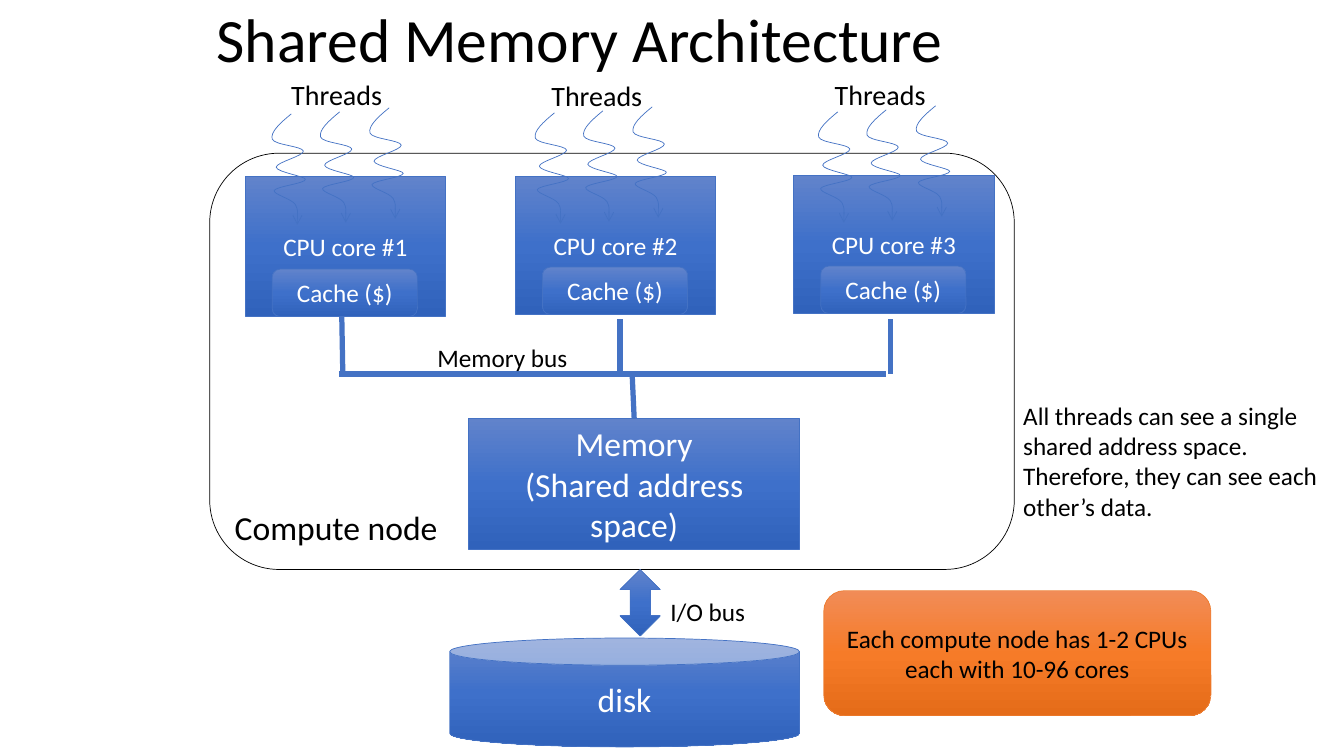
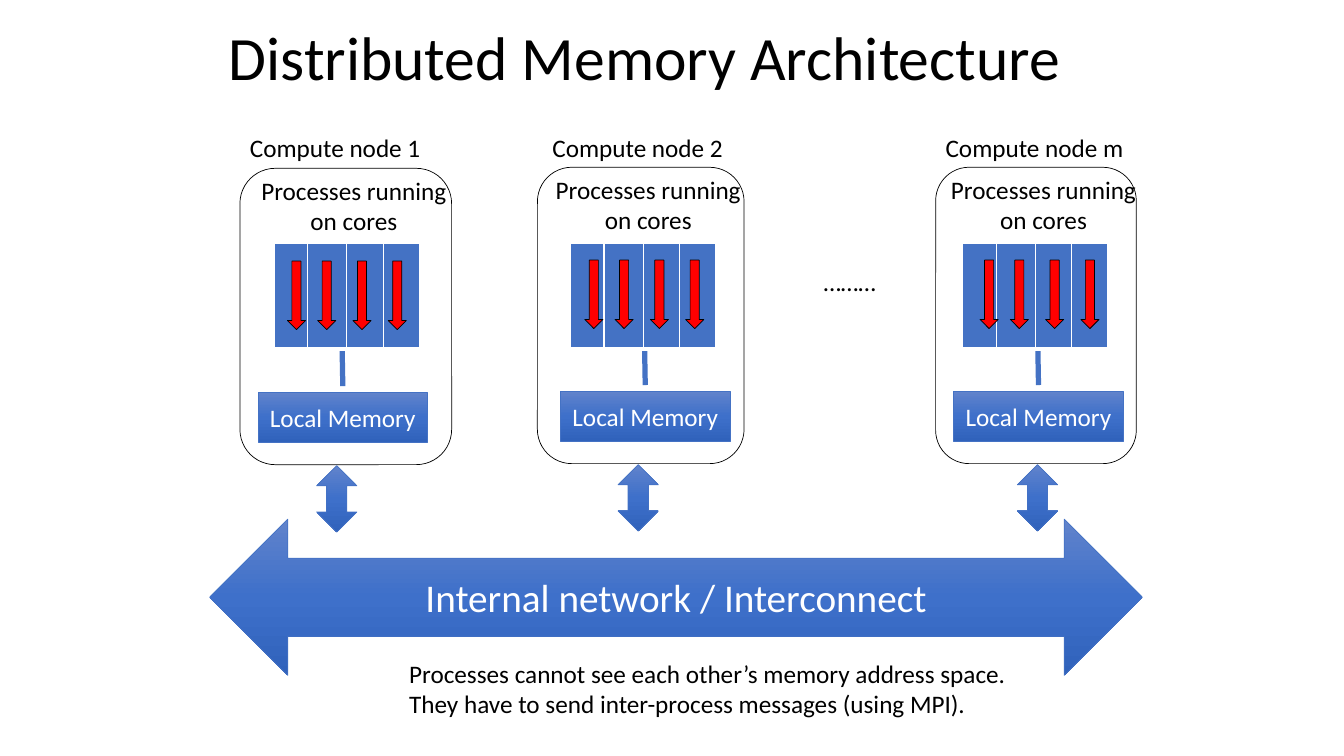
import copy
import dataclasses
import pptx
import pptx.util
import pptx.dml.color
import pptx.enum.shapes
import pptx.enum.text
import pptx.oxml.ns
from lxml import etree

SHAPE = pptx.enum.shapes.MSO_SHAPE
ALIGN = pptx.enum.text.PP_ALIGN
ANCHOR = pptx.enum.text.MSO_ANCHOR
FIT = pptx.enum.text.MSO_AUTO_SIZE
LINE = pptx.enum.shapes.MSO_CONNECTOR.STRAIGHT
inch = pptx.util.Inches
rgb = pptx.dml.color.RGBColor.from_string
qn = pptx.oxml.ns.qn


@dataclasses.dataclass(frozen=True)
class Theme:
    font: str = "Calibri"
    ink: str = "000000"
    paper: str = "FFFFFF"
    blue: str = "4472C4"
    orange: str = "ED7D31"
    red: str = "FF0000"
    blues: tuple = ("6183CB", "3E70CA", "3062BB")
    oranges: tuple = ("F18C57", "F67B28", "E56C19")
    title: int = 44
    banner: int = 28
    large: int = 24
    label: int = 20
    body: int = 18
    thin: float = 0.5
    thick: float = 3.75


@dataclasses.dataclass(frozen=True)
class Node:
    """One compute node; the last five fields are offsets from x."""
    name: str
    x: float
    y: float
    width: float
    frame: float
    task: float
    cores: float
    flow: float
    port: float


T = Theme()
WAVE_START = (0.19, 0)
WAVE = [
    ((0.08, 0.09), (-0.02, 0.18), (0, 0.25)),
    ((0.02, 0.31), (0.30, 0.32), (0.31, 0.37)),
    ((0.31, 0.42), (0.04, 0.48), (0.04, 0.53)),
    ((0.05, 0.58), (0.33, 0.62), (0.33, 0.65)),
    ((0.33, 0.69), (0.04, 0.72), (0.02, 0.76)),
    ((0.01, 0.80), (0.19, 0.84), (0.23, 0.90)),
    ((0.26, 0.96), (0.25, 1.10), (0.25, 1.10)),
]
NODES = [
    Node("Compute node 1", 2.56, 3.89, 2.1, -0.18, -0.08, 0.16, 0.29, 0.58),
    Node("Compute node 2", 5.56, 3.88, 2.05, -0.23, -0.16, 0.10, 0.24, 0.57),
    Node("Compute node m", 9.46, 3.88, 1.99, -0.18, -0.14, 0.09, 0.26, 0.63),
]


def write(frame, text, size, color, align):
    """Newlines start paragraphs; vertical bars break lines."""
    for i, part in enumerate(text.split("\n")):
        para = frame.paragraphs[0] if i == 0 else frame.add_paragraph()
        para.alignment = align
        for j, line in enumerate(part.split("|")):
            if j:
                para.add_line_break()
            run = para.add_run()
            run.text = line
            run.font.name = T.font
            run.font.size = pptx.util.Pt(size)
            run.font.color.rgb = rgb(color)


def label(shapes, box, text, size=T.body, align=ALIGN.LEFT):
    item = shapes.add_textbox(*map(inch, box))
    item.text_frame.word_wrap = False
    item.text_frame.auto_size = FIT.SHAPE_TO_FIT_TEXT
    write(item.text_frame, text, size, T.ink, align)
    return item


def heading(slide, x, middle, text):
    frame = label(slide.shapes, (x, 0, 9, 2 * middle), text, T.title).text_frame
    frame.word_wrap = True
    frame.auto_size = FIT.NONE
    frame.vertical_anchor = ANCHOR.MIDDLE
    frame.paragraphs[0].line_spacing = 0.9


def shade(shape, colors):
    """Fill from top to bottom with evenly spaced colours."""
    shape.fill.gradient()
    shape.fill.gradient_angle = 270
    stops = shape._element.find(".//" + qn("a:gsLst"))
    while len(stops) < len(colors):
        stops.append(copy.deepcopy(stops[0]))
    for i, (stop, color) in enumerate(zip(shape.fill.gradient_stops, colors)):
        stop.color.rgb = rgb(color)
        stop.position = i / (len(colors) - 1)


def outline(shape, color):
    shape.shadow.inherit = False
    shape.line.color.rgb = rgb(color)
    shape.line.width = pptx.util.Pt(T.thin)


def block(shapes, kind, box, text="", size=T.body, fill=T.blues,
          edge=T.blue, ink=T.paper):
    """Draw a shape; fill is a colour, a tuple of shades or None."""
    item = shapes.add_shape(kind, *map(inch, box))
    outline(item, edge)
    if fill is None:
        item.fill.background()
    elif isinstance(fill, tuple):
        shade(item, fill)
    else:
        item.fill.solid()
        item.fill.fore_color.rgb = rgb(fill)
    if text:
        item.text_frame.word_wrap = True
        item.text_frame.vertical_anchor = ANCHOR.MIDDLE
        write(item.text_frame, text, size, ink, ALIGN.CENTER)
    return item


def wire(shapes, start, end):
    item = shapes.add_connector(LINE, *map(inch, start + end))
    item.line.color.rgb = rgb(T.blue)
    item.line.width = pptx.util.Pt(T.thick)
    etree.SubElement(item._element.spPr, qn("a:effectLst"))
    return item


def bend(shape):
    """Turn each straight segment of a wave into its curve."""
    for line, points in zip(list(shape._element.iter(qn("a:lnTo"))), WAVE):
        arc = etree.Element(qn("a:cubicBezTo"))
        for x, y in points:
            etree.SubElement(arc, qn("a:pt"), x=str(inch(x)), y=str(inch(y)))
        line.getparent().replace(line, arc)


def wave(shapes, x, y):
    pen = shapes.build_freeform(inch(x + WAVE_START[0]), inch(y))
    ends = [(inch(x + a), inch(y + b)) for _, _, (a, b) in WAVE]
    pen.add_line_segments(ends, close=False)
    item = pen.convert_to_shape()
    bend(item)
    item.fill.background()
    outline(item, T.blue)
    edge = item._element.spPr.find(qn("a:ln"))
    etree.SubElement(edge, qn("a:tailEnd"), type="arrow")


def threads(slide, x, y, left, top):
    shapes = slide.shapes.add_group_shape().shapes
    label(shapes, (left, top, 1.11, 0.44), "Threads", T.label)
    for dx, dy in ((0, 0), (0.48, -0.02), (0.97, -0.06)):
        wave(shapes, x + dx, y + dy)


def core(slide, name, x, y, height):
    block(slide.shapes, SHAPE.RECTANGLE, (x, y, 1.99, height), name)
    block(slide.shapes, SHAPE.ROUNDED_RECTANGLE,
          (x + 0.27, y + height - 0.47, 1.44, 0.47), "Cache ($)")


def bus(shapes, memory):
    level = 3.71
    wire(shapes, (3.36, level), (8.79, level))
    for low, high, top in ((3.4, 3.39, 3.14), (6.15, 6.15, 3.16), (8.83, 8.83, 3.16)):
        wire(shapes, (low, level), (high, top))
    wire(shapes, (6.27, level), (6.29, 4.15)).end_connect(memory, 0)
    label(shapes, (4.24, 3.35, 1.5, 0.4), "Memory bus")


def shared(slide):
    shapes = slide.shapes
    heading(slide, 2.05, 0.42, "Shared Memory Architecture")
    block(shapes, SHAPE.ROUNDED_RECTANGLE, (2.08, 1.52, 7.98, 4.13), fill=None, edge=T.ink)
    label(shapes, (2.23, 4.98, 2.23, 0.5), "Compute node", T.large)
    cores = ((2.43, 1.75, 1.39), (5.11, 1.75, 1.37), (7.87, 1.74, 1.37))
    for i, box in enumerate(cores, 1):
        core(slide, f"CPU core #{i}", *box)
    for place in ((2.7, 1.13, 2.79, 0.72), (5.31, 1.12, 5.37, 0.73), (8.12, 1.11, 8.18, 0.72)):
        threads(slide, *place)
    memory = block(shapes, SHAPE.RECTANGLE, (4.65, 4.15, 3.28, 1.3),
                   "Memory|(Shared address space)", T.large)
    bus(shapes, memory)
    block(shapes, SHAPE.UP_DOWN_ARROW, (6.15, 5.65, 0.4, 0.66))
    label(shapes, (6.55, 5.87, 0.95, 0.4), "I/O bus")
    block(shapes, SHAPE.CAN, (4.46, 6.33, 3.47, 1.08), "disk", T.large)
    label(shapes, (10.05, 3.92, 3.16, 1.31),
          "All threads can see a single|shared address space.|"
          "Therefore, they can see each|other’s data.")
    block(shapes, SHAPE.ROUNDED_RECTANGLE, (8.17, 5.86, 3.84, 1.24),
          "Each compute node has 1-2 CPUs each with 10-96 cores",
          fill=T.oranges, edge=T.orange, ink=T.ink)


def border(cell):
    props = cell._tc.get_or_add_tcPr()
    for side, width in (("L", 1), ("R", 1), ("T", 1), ("B", 3)):
        edge = etree.SubElement(props, qn("a:ln" + side), w=str(pptx.util.Pt(width)))
        fill = etree.SubElement(edge, qn("a:solidFill"))
        etree.SubElement(fill, qn("a:srgbClr"), val=T.paper)


def grid(shapes, x, y):
    """Draw the row of four cores."""
    widths = (0.33, 0.39, 0.36, 0.36)
    table = shapes.add_table(1, len(widths), *map(inch, (x, y, sum(widths), 1.05))).table
    table.first_row = table.horz_banding = False
    for i, width in enumerate(widths):
        table.columns[i].width = inch(width)
        cell = table.cell(0, i)
        border(cell)
        cell.fill.solid()
        cell.fill.fore_color.rgb = rgb(T.blue)


def unit(slide, node):
    shapes, x, y = slide.shapes, node.x, node.y
    block(shapes, SHAPE.RECTANGLE, (x, y, 1.68, 0.5), "Local Memory")
    block(shapes, SHAPE.ROUNDED_RECTANGLE,
          (x + node.frame, y - 2.22, node.width, 2.94), fill=None, edge=T.ink)
    label(shapes, (x - 0.18, 1.26, 1.99, 0.4), node.name)
    for dx, dy in ((0.83, -0.62), (0.84, -0.08)):
        wire(shapes, (x + 0.84, y - 0.06), (x + dx, y + dy))
    grid(shapes, x + node.cores, 2.41)
    label(shapes, (x + node.task, y - 2.2, 2.06, 0.71),
          "Processes running|on cores", align=ALIGN.CENTER)
    flows = shapes.add_group_shape().shapes
    for dx in (0, 0.3, 0.65, 1):
        block(flows, SHAPE.DOWN_ARROW, (x + node.flow + dx, y - 1.3, 0.18, 0.68),
              fill=T.red, edge=T.ink)
    block(shapes, SHAPE.UP_DOWN_ARROW, (x + node.port, y + 0.73, 0.4, 0.66))


def spread(slide):
    shapes = slide.shapes
    heading(slide, 2.17, 0.6, "Distributed Memory Architecture")
    for node in NODES:
        unit(slide, node)
    label(shapes, (8.07, 2.59, 0.74, 0.4), "………")
    block(shapes, SHAPE.LEFT_RIGHT_ARROW, (2.08, 5.15, 9.25, 1.55),
          "Internal network / Interconnect", T.banner)
    label(shapes, (3.96, 6.48, 6.24, 0.71),
          "Processes cannot see each other’s memory address space.\n"
          "They have to send inter-process messages (using MPI).")


def main():
    deck = pptx.Presentation()
    deck.slide_width, deck.slide_height = inch(13.33), inch(7.5)
    for draw in (shared, spread):
        draw(deck.slides.add_slide(deck.slide_layouts[6]))
    deck.save("out.pptx")


if __name__ == "__main__":
    main()
